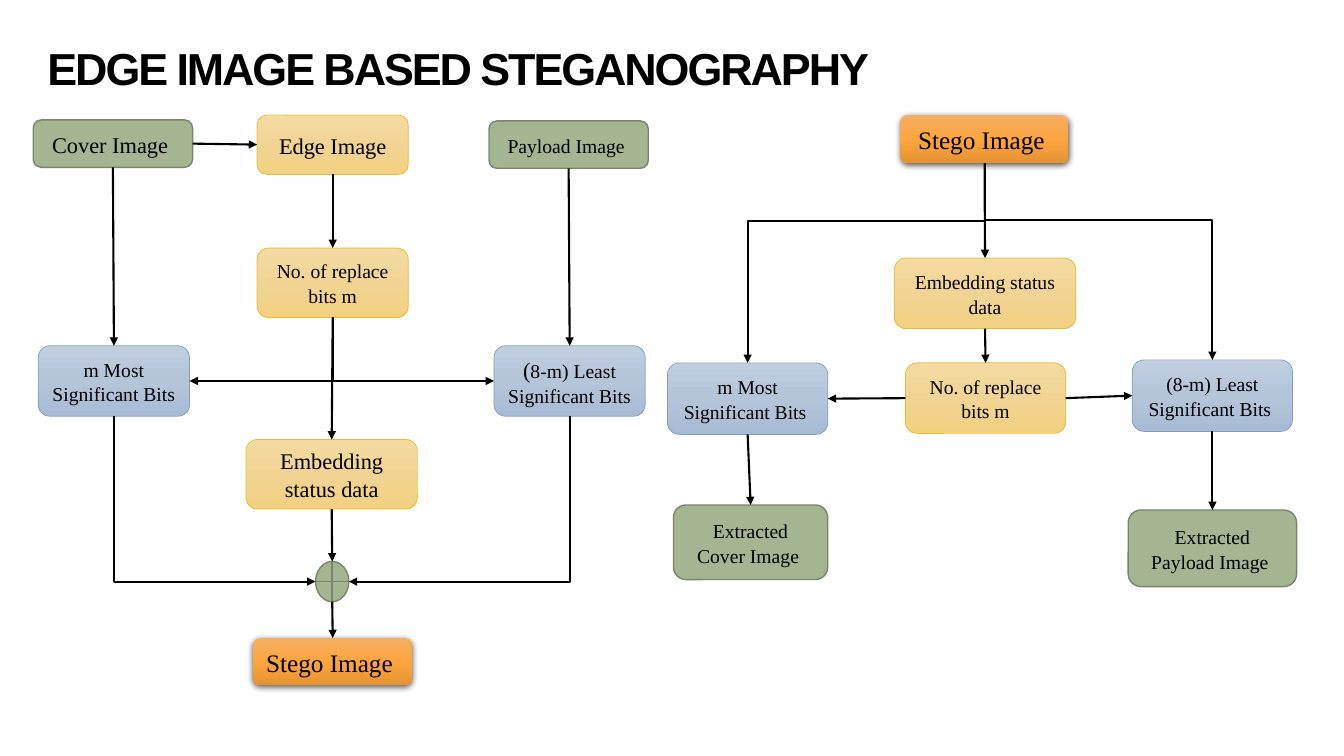
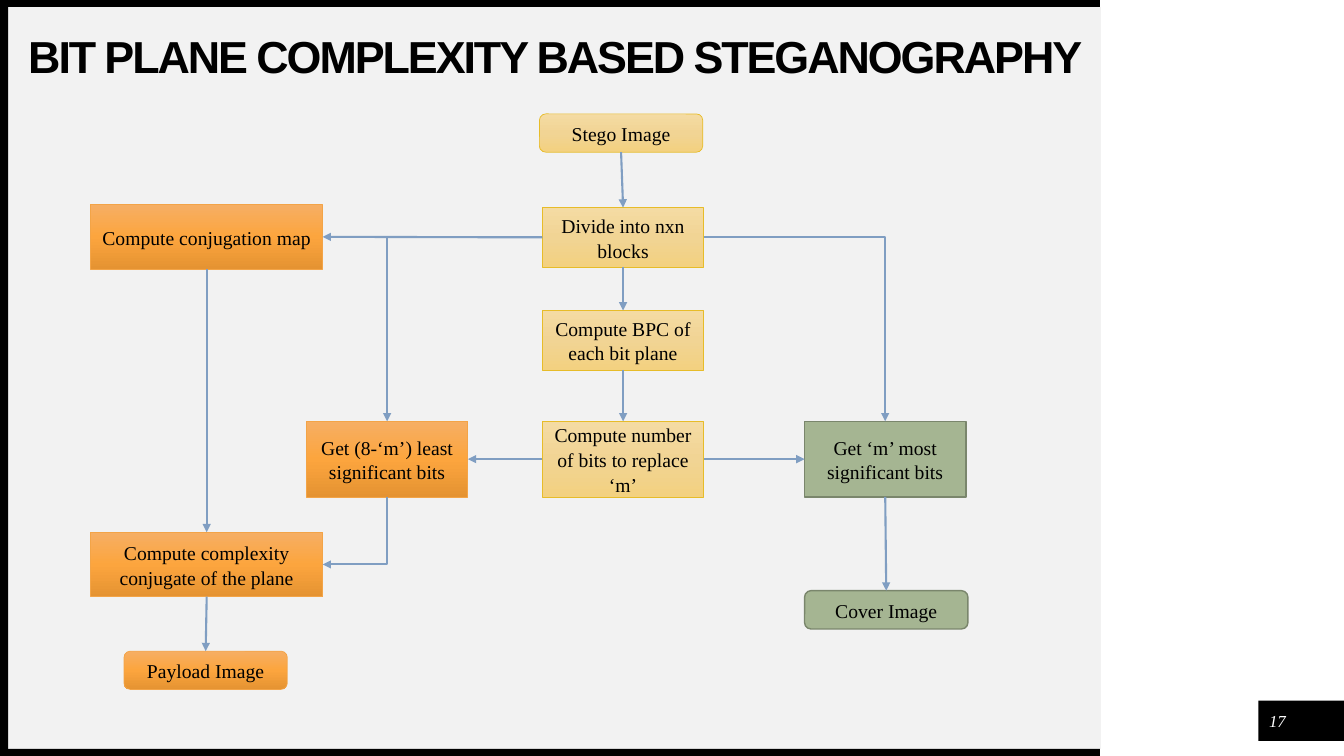
"""Two flowchart slides on image steganography."""
from copy import deepcopy

from lxml import etree
from pptx import Presentation
from pptx.dml.color import RGBColor
from pptx.enum.shapes import MSO_CONNECTOR, MSO_SHAPE
from pptx.enum.text import MSO_ANCHOR, MSO_AUTO_SIZE, PP_ALIGN
from pptx.oxml.ns import qn
from pptx.util import Inches, Pt

ROUND = MSO_SHAPE.FLOWCHART_ALTERNATE_PROCESS
RECT = MSO_SHAPE.RECTANGLE
OR = MSO_SHAPE.FLOWCHART_OR
STRAIGHT, ELBOW = MSO_CONNECTOR.STRAIGHT, MSO_CONNECTOR.ELBOW
LEFT, CENTER = PP_ALIGN.LEFT, PP_ALIGN.CENTER
MIDDLE = MSO_ANCHOR.MIDDLE
NO_FIT = MSO_AUTO_SIZE.NONE

WIDTH, HEIGHT = 13.33, 7.5
BLACK, WHITE, STEEL = "000000", "FFFFFF", "809EC2"
SERIF = "Times New Roman"
TITLE_ONLY = 5

ORANGE_FILL = ["F6AE64", "FCA53E", "E59332"]
STYLES = {
    "green": (["A5B592"], "7A866C", 1),
    "blue": (["C0CEE0", "B4C4D9", "A8BBD5"], STEEL, 0.5),
    "yellow": (["F4DBA3", "F1D494", "F3D180"], "E7BC29", 0.5),
    "orange": (ORANGE_FILL, "F3A447", 0.5),
    "raised": (ORANGE_FILL, None, 0),
}
SIDES = {"top": (0, 0.5, 0), "left": (1, 0, 0.5),
         "bottom": (2, 0.5, 1), "right": (3, 1, 0.5)}

EDGE = {
    "title": "EDGE IMAGE BASED STEGANOGRAPHY",
    "title_at": (0.47, 0.47, 10.06, 0.47),
    "arrow": BLACK,
    "boxes": [
        ("cover", ROUND, "green", (0.33, 1.19, 1.58, 0.47), ("Cover Image ", 16)),
        ("payload", ROUND, "green", (4.85, 1.2, 1.58, 0.47), ("Payload Image ", 14)),
        ("edge", ROUND, "yellow", (2.55, 1.14, 1.5, 0.59), ("Edge Image", 16)),
        ("replace", ROUND, "yellow", (2.55, 2.46, 1.5, 0.69),
         ("No. of replace bits m", 14)),
        ("most", ROUND, "blue", (0.38, 3.43, 1.5, 0.7),
         ("m Most Significant Bits ", 14)),
        ("least", ROUND, "blue", (4.9, 3.43, 1.5, 0.7),
         ("(", 16), ("8-m) Least Significant Bits ", 14)),
        ("status", ROUND, "yellow", (2.44, 4.36, 1.7, 0.69),
         ("Embedding status data", 16)),
        ("merge", OR, "green", (3.13, 5.57, 0.33, 0.4)),
        ("stego", ROUND, "raised", (2.51, 6.33, 1.58, 0.47), ("Stego Image ", 18)),
        ("received", ROUND, "raised", (8.93, 1.14, 1.67, 0.48), ("Stego Image ", 18)),
        ("read status", ROUND, "yellow", (8.87, 2.56, 1.8, 0.7),
         ("Embedding status data", 14)),
        ("read replace", ROUND, "yellow", (8.98, 3.6, 1.59, 0.7),
         ("No. of replace bits m", 14)),
        ("read most", ROUND, "blue", (6.62, 3.6, 1.59, 0.71),
         ("m Most Significant Bits ", 14)),
        ("read least", ROUND, "blue", (11.23, 3.57, 1.59, 0.71),
         ("(8-m) Least Significant Bits ", 14)),
        ("extracted cover", ROUND, "green", (6.68, 5.01, 1.53, 0.74),
         ("Extracted Cover Image ", 14)),
        ("extracted payload", ROUND, "green", (11.19, 5.06, 1.67, 0.76),
         ("Extracted Payload Image ", 14)),
    ],
    "links": [
        ("cover", "right", "edge", "left"),
        ("cover", "bottom", "most", "top"),
        ("payload", "bottom", "least", "top"),
        ("edge", "bottom", "replace", "top"),
        ("replace", "bottom", "status", "top"),
        ("replace", "bottom", "most", "right"),
        ("replace", "bottom", "least", "left"),
        ("most", "bottom", "merge", "left"),
        ("least", "bottom", "merge", "right"),
        ("status", "bottom", "merge", "top"),
        ("merge", "bottom", "stego", "top"),
        ("received", "bottom", "read most", "top"),
        ("received", "bottom", "read least", "top"),
        ("received", "bottom", "read status", "top"),
        ("read status", "bottom", "read replace", "top"),
        ("read replace", "left", "read most", "right"),
        ("read replace", "right", "read least", "left"),
        ("read most", "bottom", "extracted cover", "top"),
        ("read least", "bottom", "extracted payload", "top"),
    ],
}
PLANE = {
    "title": "BIT PLANE COMPLEXITY BASED STEGANOGRAPHY",
    "title_at": (0.28, 0.03, 10.92, 1.12),
    "arrow": STEEL,
    "boxes": [
        ("stego", ROUND, "yellow", (5.35, 1.13, 1.62, 0.38), ("Stego Image", 14)),
        ("divide", RECT, "yellow", (5.38, 2.06, 1.6, 0.59),
         ("Divide into nxn blocks", 14)),
        ("complexity", RECT, "yellow", (5.38, 3.08, 1.6, 0.59),
         ("Compute BPC of each bit plane", 14)),
        ("number", RECT, "yellow", (5.38, 4.18, 1.6, 0.75),
         ("Compute number of bits to replace ‘m’", 14)),
        ("map", RECT, "orange", (0.9, 2.03, 2.3, 0.64),
         ("Compute conjugation map", 14)),
        ("least", RECT, "orange", (3.04, 4.18, 1.6, 0.75),
         ("Get (8-‘m’) least significant bits", 14)),
        ("conjugate", RECT, "orange", (0.9, 5.28, 2.3, 0.64),
         ("Compute complexity conjugate of the plane", 14)),
        ("payload", ROUND, "orange", (1.23, 6.46, 1.62, 0.38), ("Payload Image", 14)),
        ("most", RECT, "green", (7.98, 4.18, 1.6, 0.75),
         ("Get ‘m’ most significant bits", 14)),
        ("cover", ROUND, "green", (7.98, 5.86, 1.62, 0.38), ("Cover Image", 14)),
    ],
    "links": [
        ("stego", "bottom", "divide", "top"),
        ("divide", "bottom", "complexity", "top"),
        ("complexity", "bottom", "number", "top"),
        ("divide", "left", "map", "right"),
        ("divide", "left", "least", "top"),
        ("divide", "right", "most", "top"),
        ("number", "left", "least", "right"),
        ("number", "right", "most", "left"),
        ("map", "bottom", "conjugate", "top"),
        ("least", "bottom", "conjugate", "right"),
        ("conjugate", "bottom", "payload", "top"),
        ("most", "bottom", "cover", "top"),
    ],
}
PANEL = [
    ((0.08, 0.07, 10.84, 7.36), "F2F2F2"),
    ((12.48, 6.95, 0.86, 0.4), BLACK),
    ((0, 7.43, 10.91, 0.07), BLACK),
    ((0, 0, 10.91, 0.07), BLACK),
    ((0, 0, 0.08, HEIGHT), BLACK),
]
PAGE_NUMBER, PAGE_NUMBER_AT = "17", (12.52, 7, 0.3, 0.3)


def color(value):
    return RGBColor.from_string(value)


def inches(values):
    return [Inches(value) for value in values]


def format_run(run, size, font, value, bold=False, italic=False, spacing=0):
    run.font.size, run.font.name = Pt(size), font
    run.font.bold, run.font.italic = bold, italic
    run.font.color.rgb = color(value)
    if spacing:
        run._r.get_or_add_rPr().set("spc", str(round(spacing * 100)))


def format_frame(frame, margins=None):
    frame.word_wrap = True
    frame.auto_size = NO_FIT
    frame.vertical_anchor = MIDDLE
    if margins:
        (frame.margin_left, frame.margin_top,
         frame.margin_right, frame.margin_bottom) = inches(margins)


def add_title(slide, text, place):
    title = slide.shapes.title
    title.left, title.top, title.width, title.height = inches(place)
    format_frame(title.text_frame, (0, 0, 0, 0))
    title.text_frame.text = text
    paragraph = title.text_frame.paragraphs[0]
    paragraph.alignment, paragraph.line_spacing = LEFT, 0.9
    format_run(paragraph.runs[0], 32, "Arial", BLACK, bold=True, spacing=-1.5)


def paint(shape, fills, outline=None, width=0):
    shape.shadow.inherit = False
    if len(fills) == 1:
        shape.fill.solid()
        shape.fill.fore_color.rgb = color(fills[0])
    else:
        shape.fill.gradient()
        shape.fill.gradient_angle = 270
        first = shape._element.spPr.find(".//" + qn("a:gs"))
        first.addnext(deepcopy(first))
        for index, stop in enumerate(shape.fill.gradient_stops):
            stop.position = index / (len(fills) - 1)
            stop.color.rgb = color(fills[index])
    if outline:
        shape.line.color.rgb = color(outline)
        shape.line.width = Pt(width)
    else:
        shape.line.fill.background()


def raise_shape(shape):
    effects = shape._element.spPr.find(qn("a:effectLst"))
    shadow = etree.SubElement(effects, qn("a:outerShdw"), blurRad=str(Pt(4.5)),
                              dist=str(Pt(1.5)), dir="5400000", rotWithShape="0")
    tint = etree.SubElement(shadow, qn("a:srgbClr"), val=BLACK)
    etree.SubElement(tint, qn("a:alpha"), val="63000")


def add_box(slide, kind, style, place, runs):
    shape = slide.shapes.add_shape(kind, *inches(place))
    paint(shape, *STYLES[style])
    if style == "raised":
        raise_shape(shape)
    format_frame(shape.text_frame)
    if runs:
        paragraph = shape.text_frame.paragraphs[0]
        paragraph.alignment, paragraph.line_spacing = CENTER, 1.05
        paragraph.space_after = Pt(8)
        for text, size in runs:
            run = paragraph.add_run()
            run.text = text
            format_run(run, size, SERIF, BLACK)
    return shape


def add_elbow(slide, start, end, from_side, to_side):
    across, down = end[0] - start[0], end[1] - start[1]
    turn = 0
    if from_side == "bottom":
        middle = [(a + b) / 2 for a, b in zip(start, end)]
        turn = 270 if across > 0 else 90
        span = (-down, across) if across > 0 else (down, -across)
        start = [round(m - s / 2) for m, s in zip(middle, span)]
        end = [round(m + s / 2) for m, s in zip(middle, span)]
    connector = slide.shapes.add_connector(ELBOW, *start, *end)
    properties = connector._element.spPr
    properties.find(qn("a:xfrm")).set("rot", str(turn * 60000))
    geometry = properties.find(qn("a:prstGeom"))
    if (from_side, to_side) == ("bottom", "top"):
        guides = geometry.find(qn("a:avLst"))
        etree.SubElement(guides, qn("a:gd"), name="adj1", fmla="val 29000")
    else:
        geometry.set("prst", "bentConnector2")
    return connector


def side_point(shape, side):
    _, across, down = SIDES[side]
    return (shape.left + round(shape.width * across),
            shape.top + round(shape.height * down))


def add_link(slide, source, from_side, target, to_side, line_color):
    start, end = side_point(source, from_side), side_point(target, to_side)
    if min(abs(a - b) for a, b in zip(start, end)) > Inches(0.1):
        connector = add_elbow(slide, start, end, from_side, to_side)
    else:
        connector = slide.shapes.add_connector(STRAIGHT, *start, *end)
        if source.auto_shape_type != OR:
            connector.begin_connect(source, SIDES[from_side][0])
        connector.end_connect(target, SIDES[to_side][0])
    connector.line.color.rgb = color(line_color)
    connector.line.width = Pt(1.5)
    properties = connector._element.spPr
    etree.SubElement(properties.find(qn("a:ln")), qn("a:tailEnd"), type="triangle")
    etree.SubElement(properties, qn("a:effectLst"))


def add_panel(slide):
    for place, fill in PANEL:
        paint(slide.shapes.add_shape(RECT, *inches(place)), [fill])
    frame = slide.shapes.add_textbox(*inches(PAGE_NUMBER_AT)).text_frame
    format_frame(frame, (0, 0, 0, 0))
    frame.text = PAGE_NUMBER
    paragraph = frame.paragraphs[0]
    paragraph.alignment = CENTER
    format_run(paragraph.runs[0], 12, SERIF, WHITE, italic=True)
    slide.shapes._spTree.append(slide.shapes.title._element)


def add_chart_slide(presentation, content, panel=False):
    slide = presentation.slides.add_slide(presentation.slide_layouts[TITLE_ONLY])
    if panel:
        add_panel(slide)
    add_title(slide, content["title"], content["title_at"])
    boxes = {name: add_box(slide, kind, style, place, runs)
             for name, kind, style, place, *runs in content["boxes"]}
    for source, from_side, target, to_side in content["links"]:
        add_link(slide, boxes[source], from_side, boxes[target], to_side,
                 content["arrow"])


def main():
    presentation = Presentation()
    presentation.slide_width, presentation.slide_height = inches((WIDTH, HEIGHT))
    add_chart_slide(presentation, EDGE)
    add_chart_slide(presentation, PLANE, panel=True)
    presentation.save("out.pptx")


if __name__ == "__main__":
    main()
